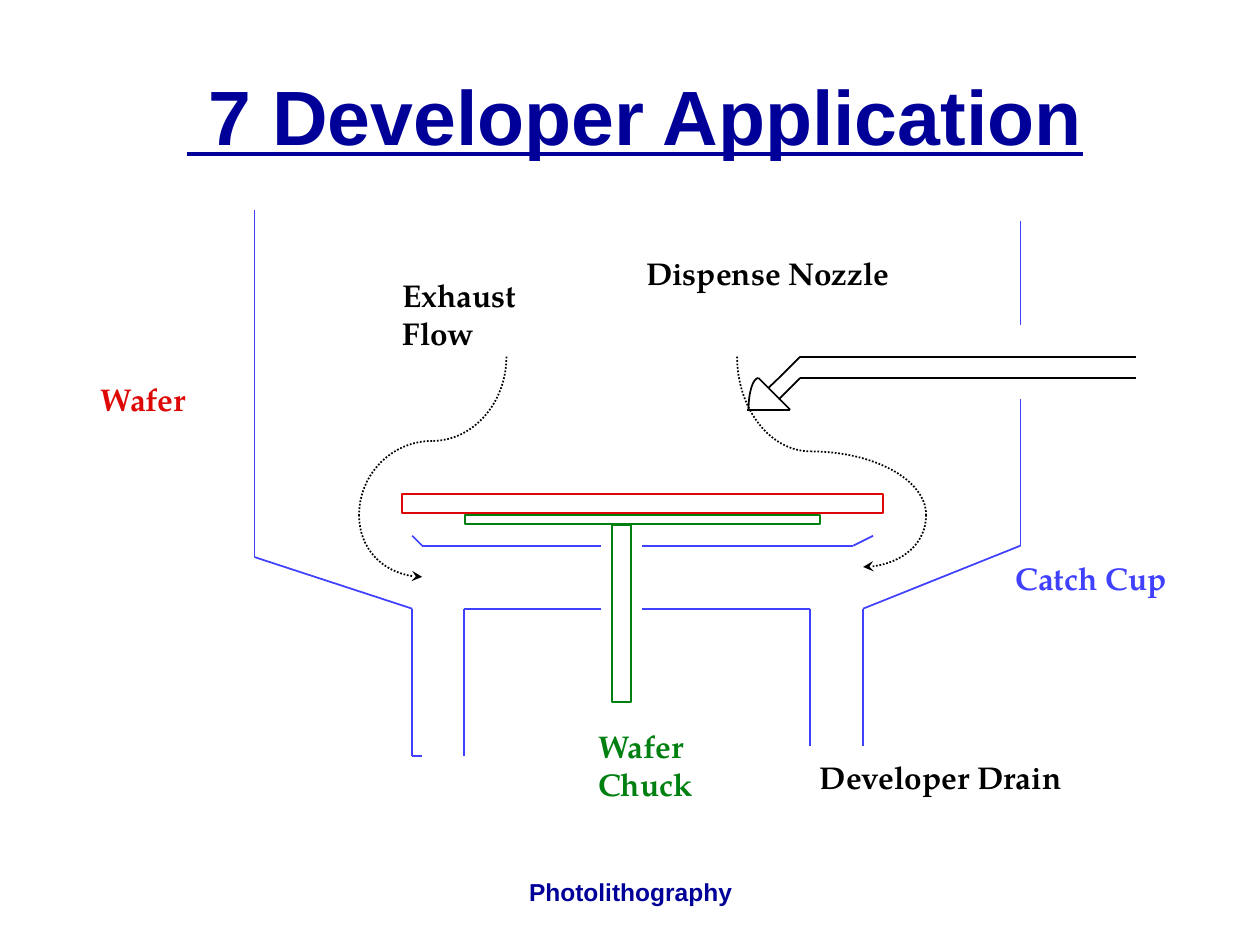
from lxml import etree
from pptx import Presentation
from pptx.dml.color import RGBColor
from pptx.enum.dml import MSO_LINE
from pptx.enum.shapes import MSO_CONNECTOR, MSO_SHAPE
from pptx.enum.text import MSO_ANCHOR, MSO_AUTO_SIZE, PP_ALIGN
from pptx.oxml.ns import qn
from pptx.util import Cm, Pt

RECT = MSO_SHAPE.RECTANGLE
STRAIGHT = MSO_CONNECTOR.STRAIGHT
DOTTED = MSO_LINE.ROUND_DOT
MIDDLE = MSO_ANCHOR.MIDDLE
GROW = MSO_AUTO_SIZE.SHAPE_TO_FIT_TEXT
FIXED = MSO_AUTO_SIZE.NONE
CENTER = PP_ALIGN.CENTER
LEFT = PP_ALIGN.LEFT

COLORS = {"navy": "000099", "green": "008011", "red": "DD0806",
          "blue": "4040FF", "black": "000000", "white": "FFFFFF"}
HEAD_FONT = "Arial"
LABEL_FONT = "TeX Gyre Pagella"
KAPPA = 0.55

PARTS = [
    (9.37, 10.39, 7.16, 0.18, "green"),
    (8.1, 9.96, 9.7, 0.38, "red"),
    (12.34, 10.59, 0.38, 3.56, "green"),
]
CUP = [
    [(8.31, 10.8), (8.51, 11), (12.12, 11)],
    [(12.95, 11), (17.2, 11), (17.6, 10.8)],
    [(5.13, 4.24), (5.13, 11.23), (8.31, 12.27), (8.31, 15.24), (8.51, 15.24)],
    [(12.12, 12.27), (9.35, 12.27), (9.35, 15.24)],
    [(12.95, 12.27), (16.33, 12.27), (16.33, 15.04)],
    [(17.4, 15.04), (17.4, 12.27), (20.57, 11), (20.57, 8.05)],
    [(20.57, 6.55), (20.57, 4.45)],
]
NOZZLE = [
    [(22.91, 7.62), (16.13, 7.62), (15.7, 8.05)],
    [(22.91, 7.19), (16.13, 7.19), (15.7, 7.62), (15.49, 7.82)],
    [(15.29, 7.62), (15.93, 8.26), (15.06, 8.26)],
]
FLOWS = [
    [(10.21, 7.19), (8.71, 8.89), (7.24, 10.38), (8.51, 11.63)],
    [(14.86, 7.19), (16.34, 9.1), (18.67, 10.38), (17.4, 11.43)],
]
LABELS = [
    ("Dispense Nozzle", 12.78, 5, 5.72, 1.02, "black"),
    ("Catch Cup", 20.22, 11.15, 3.76, 1.02, "blue"),
    ("Wafer\nChuck", 11.81, 14.53, 2.51, 1.78, "green"),
    ("Developer Drain", 16.28, 15.16, 5.84, 1.02, "black"),
    ("Exhaust\nFlow", 7.87, 5.44, 3.3, 1.78, "black"),
    ("Wafer", 1.78, 7.54, 2.51, 1.02, "red"),
]


def rgb(name):
    """Return the named palette colour."""
    return RGBColor.from_string(COLORS[name])


def style_line(line, color):
    """Give a line its colour and the common width."""
    line.color.rgb = rgb(color)
    line.width = Pt(1)


def style_text(tf, size, font, color, align):
    """Format every paragraph of a text frame in bold."""
    for p in tf.paragraphs:
        p.alignment = align
        for r in p.runs:
            r.font.size = Pt(size)
            r.font.name = font
            r.font.bold = True
            r.font.color.rgb = rgb(color)


def add_title(s, text):
    """Fill and place the title placeholder."""
    sp = s.shapes.title
    sp.left, sp.top, sp.width, sp.height = Cm(1.47), Cm(0.84), Cm(22.66), Cm(3.18)
    tf = sp.text_frame
    tf.text = text
    tf.auto_size = FIXED
    tf.vertical_anchor = MIDDLE
    style_text(tf, 44, HEAD_FONT, "navy", CENTER)
    p = tf.paragraphs[0]
    p.line_spacing = 0.9
    p.runs[0].font.underline = True


def add_text(shapes, text, x, y, w, h, color, size=18, font=LABEL_FONT, align=LEFT):
    """Add an unwrapped text box and return its text frame."""
    sp = shapes.add_textbox(Cm(x), Cm(y), Cm(w), Cm(h))
    tf = sp.text_frame
    tf.text = text
    tf.word_wrap = False
    tf.auto_size = GROW
    style_text(tf, size, font, color, align)
    return tf


def add_part(shapes, x, y, w, h, color):
    """Add a white rectangle with a coloured outline."""
    sp = shapes.add_shape(RECT, Cm(x), Cm(y), Cm(w), Cm(h))
    sp.shadow.inherit = False
    sp.fill.solid()
    sp.fill.fore_color.rgb = rgb("white")
    style_line(sp.line, color)


def add_lines(shapes, points, color):
    """Join consecutive points with straight connectors."""
    for (x1, y1), (x2, y2) in zip(points, points[1:]):
        sp = shapes.add_connector(STRAIGHT, Cm(x1), Cm(y1), Cm(x2), Cm(y2))
        style_line(sp.line, color)
        etree.SubElement(sp._element.spPr, qn("a:effectLst"))


def add_arc(shapes, start, end, vertical):
    """Add a quarter ellipse that leaves its start vertically or horizontally."""
    (x1, y1), (x2, y2) = start, end
    dx, dy = KAPPA * (x2 - x1), KAPPA * (y2 - y1)
    if vertical:
        controls = [(x1, y1 + dy), (x2 - dx, y2)]
    else:
        controls = [(x1 + dx, y1), (x2, y2 - dy)]
    fb = shapes.build_freeform(Cm(x1), Cm(y1))
    fb.add_line_segments([(Cm(x), Cm(y)) for x, y in controls + [end]], close=False)
    sp = fb.convert_to_shape()
    path = sp._element.find(".//" + qn("a:path"))
    curve = etree.SubElement(path, qn("a:cubicBezTo"))
    for seg in path.findall(qn("a:lnTo")):
        curve.append(seg[0])
        path.remove(seg)
    sp.shadow.inherit = False
    sp.fill.background()
    style_line(sp.line, "black")
    return sp


def add_flow(shapes, points):
    """Chain dotted quarter arcs and end them with an arrowhead."""
    for i, (start, end) in enumerate(zip(points, points[1:])):
        sp = add_arc(shapes, start, end, vertical=i % 2 == 0)
        sp.line.dash_style = DOTTED
    etree.SubElement(sp.line._get_or_add_ln(), qn("a:tailEnd"), type="stealth")


def main():
    """Build the developer application slide."""
    prs = Presentation()
    prs.slide_width, prs.slide_height = Cm(25.4), Cm(19.05)
    s = prs.slides.add_slide(prs.slide_layouts[5])
    add_title(s, " 7 Developer Application")
    tf = add_text(s.shapes, "Photolithography", 8.69, 17.35, 8.05, 1.27, "navy",
                  14, HEAD_FONT, CENTER)
    tf.auto_size = FIXED
    tf.vertical_anchor = MIDDLE
    shapes = s.shapes.add_group_shape().shapes
    for part in PARTS:
        add_part(shapes, *part)
    for points in CUP:
        add_lines(shapes, points, "blue")
    for points in FLOWS:
        add_flow(shapes, points)
    for points in NOZZLE:
        add_lines(shapes, points, "black")
    add_arc(shapes, (15.09, 8.26), (15.29, 7.62), vertical=True)
    for label in LABELS:
        add_text(shapes, *label)
    prs.save("out.pptx")


if __name__ == "__main__":
    main()
